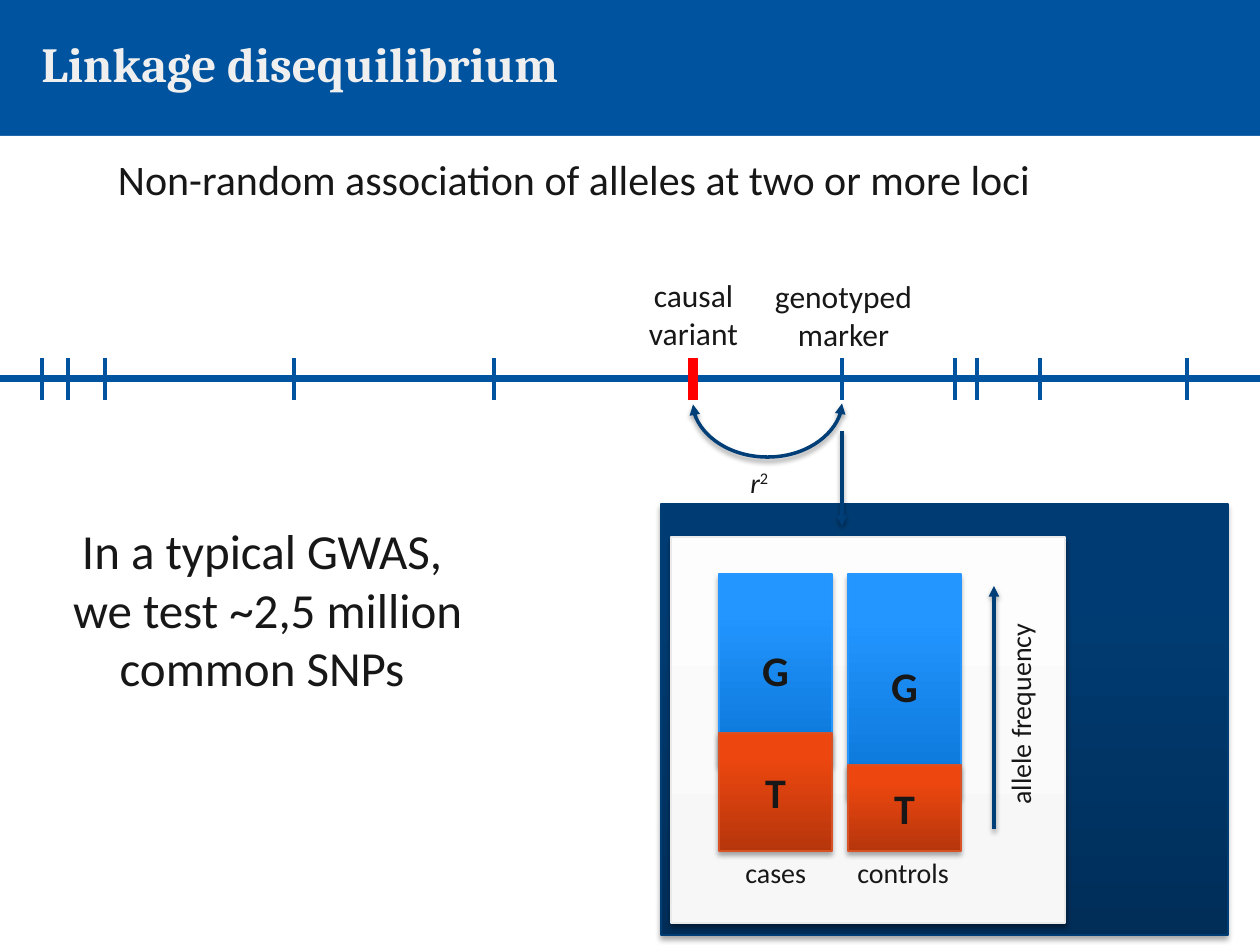
import pptx
import pptx.util
import pptx.dml.color
import pptx.enum.dml
import pptx.enum.shapes
import pptx.enum.text
import pptx.oxml
import pptx.oxml.ns
from lxml import etree

PX = 914400 / 126  # EMU per px
COLORS = {
    "blue": "00539F", "white": "FFFFFF", "title": "EFEFEF", "text": "171717",
    "arrow": "003E77", "causal": "FF0000", "shadow": "000000",
}
# Gradient from bottom to top, position of the upper stop, outline
FILLS = {
    "panel": ("002E59", "003C73", 0.8, "003D74"),
    "card": ("F7F7F7", "FDFDFD", 1.0, "EAEAEA"),
    "G": ("0974D6", "2396FF", 0.8, "2697FF"),
    "T": ("B6360C", "ED470F", 0.8, "D95225"),
}
ALIGN = pptx.enum.text.PP_ALIGN
ANCHOR = pptx.enum.text.MSO_ANCHOR
FIT = pptx.enum.text.MSO_AUTO_SIZE.SHAPE_TO_FIT_TEXT
CONNECTOR = pptx.enum.shapes.MSO_CONNECTOR
RECTANGLE = pptx.enum.shapes.MSO_SHAPE.RECTANGLE


def px(*lengths):
    return [pptx.util.Emu(round(length * PX)) for length in lengths]


def rgb(value):
    return pptx.dml.color.RGBColor.from_string(value)


def apply(target, values):
    for name, value in values.items():
        setattr(target, name, value)


def add_effect(part, alpha=None):
    """Give the part a soft shadow below it, or none."""
    props = part._element.spPr
    effects = props.find(pptx.oxml.ns.qn("a:effectLst"))
    if effects is None:
        effects = etree.SubElement(props, pptx.oxml.ns.qn("a:effectLst"))
    if alpha:
        effects.append(pptx.oxml.parse_xml(
            f'<a:outerShdw {pptx.oxml.ns.nsdecls("a")} blurRad="39370" dist="22860" '
            f'dir="5400000" rotWithShape="0"><a:srgbClr val="{COLORS["shadow"]}">'
            f'<a:alpha val="{alpha * 1000}"/></a:srgbClr></a:outerShdw>'))


def write(frame, lines, size, align=ALIGN.LEFT, color="text", **font):
    look = {"name": "Calibri", "size": pptx.util.Pt(size), "bold": False, **font}
    frame.text = "\n".join(lines)
    for paragraph in frame.paragraphs:
        paragraph.alignment = align
        for run in paragraph.runs:
            apply(run.font, look)
            run.font.color.rgb = rgb(COLORS[color])


def add_label(slide, box, lines, size, align=ALIGN.LEFT, frame_values=None, **font):
    label = slide.shapes.add_textbox(*px(*box))
    apply(label.text_frame, {"word_wrap": False, "auto_size": FIT, **(frame_values or {})})
    write(label.text_frame, lines, size, align, **font)
    return label


def add_block(slide, box, kind, alpha=35):
    block = slide.shapes.add_shape(RECTANGLE, *px(*box))
    bottom, top, position, outline = FILLS[kind]
    block.fill.gradient()
    block.fill.gradient_angle = 90
    for stop, color, place in zip(block.fill.gradient_stops, (bottom, top), (0, position)):
        stop.color.rgb = rgb(color)
        stop.position = place
    block.line.color.rgb = rgb(outline)
    block.line.width = pptx.util.Pt(0.75)
    block.shadow.inherit = False
    add_effect(block, alpha)
    return block


def add_line(slide, ends, color, width, heads=(), shadow=None, kind=CONNECTOR.STRAIGHT):
    line = slide.shapes.add_connector(kind, *px(*ends))
    line.line.color.rgb = rgb(COLORS[color])
    line.line.width = pptx.util.Pt(width)
    outline = line._element.spPr.find(pptx.oxml.ns.qn("a:ln"))
    for head in heads:
        etree.SubElement(outline, pptx.oxml.ns.qn(f"a:{head}"), type="triangle")
    add_effect(line, shadow)
    return line


def draw_header(slide, left, top, width, height):
    # Blue band above a white page
    slide.background.fill.solid()
    slide.background.fill.fore_color.rgb = rgb(COLORS["blue"])
    page = slide.shapes.add_shape(RECTANGLE, *px(left, top + height, width, 945 - height))
    page.fill.solid()
    page.fill.fore_color.rgb = rgb(COLORS["white"])
    page.line.fill.background()
    page.shadow.inherit = False
    add_label(slide, (left + 29, top, 1010, 126), ["Linkage disequilibrium"], 28,
              frame_values={"word_wrap": True, "vertical_anchor": ANCHOR.MIDDLE,
                            "auto_size": pptx.enum.text.MSO_AUTO_SIZE.NONE},
              color="title", name="Cambria", bold=True)


def draw_statements(slide, left, top):
    add_label(slide, (left, top, 1144, 63),
              ["Non-random association of alleles at two or more loci"], 24,
              frame_values={"word_wrap": True, "margin_left": px(76)[0]})
    add_label(slide, (left + 15, top + 367, 421, 190),
              ["In a typical GWAS, ", "we test ~2,5 million ", "common SNPs "], 28, ALIGN.CENTER)


def draw_frequency_panel(slide, left, top, width, height):
    add_block(slide, (left, top, width, height), "panel")
    add_block(slide, (left + 10, top + 33, 394, 386), "card", 38)

    # Stacked alleles: each T block covers the foot of its G block
    bar_top, bar_bottom, bar_width, overlap = top + 70, top + 347, 113, 32
    columns = (("cases", 58, 118, 72, 90), ("controls", 187, 86, 184, 130))
    for group, bar_x, t_height, label_x, label_width in columns:
        t_top = bar_bottom - t_height
        spans = (("G", bar_top, t_top + overlap - bar_top), ("T", t_top, t_height))
        for allele, block_top, block_height in spans:
            block = add_block(slide, (left + bar_x, block_top, bar_width, block_height), allele)
            apply(block.text_frame, {"word_wrap": False, "vertical_anchor": ANCHOR.MIDDLE})
            write(block.text_frame, [allele], 24, ALIGN.CENTER, bold=True)
        add_label(slide, (left + label_x, top + 345, label_width, 47), [group], 16)

    # Frequency axis
    axis_x = left + 333
    add_line(slide, (axis_x, top + 82, axis_x, top + 325), "arrow", 2, ["headEnd"], 38)
    axis_label = add_label(slide, (left + 255, top + 185, 209, 47), ["allele frequency"], 16)
    axis_label.rotation = 270


def draw_chromosome(slide, left, top, width, height):
    causal_x, marker_x = left + 693, left + 842
    middle, bottom = top + 21, top + height

    # Arrow from marker to panel
    add_line(slide, (marker_x, bottom + 31, marker_x, bottom + 126), "arrow", 2, ["tailEnd"], 38)

    # Correlation arc: a flat S-curve, turned by 90 degrees
    span, depth = marker_x - causal_x, 54
    center_x, center_y = (causal_x + marker_x) / 2, bottom + 4
    arc = add_line(slide, (center_x - 0.5, center_y - span / 2, center_x + 0.5, center_y + span / 2),
                   "arrow", 2, ["headEnd", "tailEnd"], 38, CONNECTOR.CURVE)
    props = arc._element.spPr
    props.find(pptx.oxml.ns.qn("a:xfrm")).set("rot", "5400000")
    guides = props.find(".//" + pptx.oxml.ns.qn("a:avLst"))
    etree.SubElement(guides, pptx.oxml.ns.qn("a:gd"), name="adj1", fmla=f"val {depth * 100000}")
    r_squared = add_label(slide, (left + 738, bottom + 59, 47, 47), ["r"], 16, italic=True)
    power = r_squared.text_frame.paragraphs[0].add_run()
    power.text = "2"
    apply(power.font, {"name": "Calibri", "size": pptx.util.Pt(16), "italic": False})
    power.font.color.rgb = rgb(COLORS["text"])
    power.font._element.set("baseline", "30000")

    # Chromosome and its SNPs
    add_line(slide, (left, middle, left + width, middle), "blue", 4)
    for snp_x in (42, 68, 105, 294, 494, 842, 955, 977, 1040, 1187):
        add_line(slide, (left + snp_x, top, left + snp_x, bottom), "blue", 2)
    add_line(slide, (causal_x, top, causal_x, bottom), "causal", 6)

    # Names of the two loci
    loci = (("causal variant", 619, 88, 149), ("genotyped\vmarker", 756, 87, 175))
    for locus, label_x, rise, label_width in loci:
        add_label(slide, (left + label_x, top - rise, label_width, 88), [locus], 18, ALIGN.CENTER,
                  {"word_wrap": True, "vertical_anchor": ANCHOR.MIDDLE})


def main():
    deck = pptx.Presentation()
    deck.slide_width, deck.slide_height = px(1260, 945)
    slide = deck.slides.add_slide(deck.slide_layouts[6])
    draw_header(slide, 0, 0, 1260, 136)
    draw_frequency_panel(slide, 661, 504, 567, 431)
    draw_chromosome(slide, 0, 358, 1260, 42)
    draw_statements(slide, 42, 147)
    deck.save("out.pptx")


if __name__ == "__main__":
    main()
